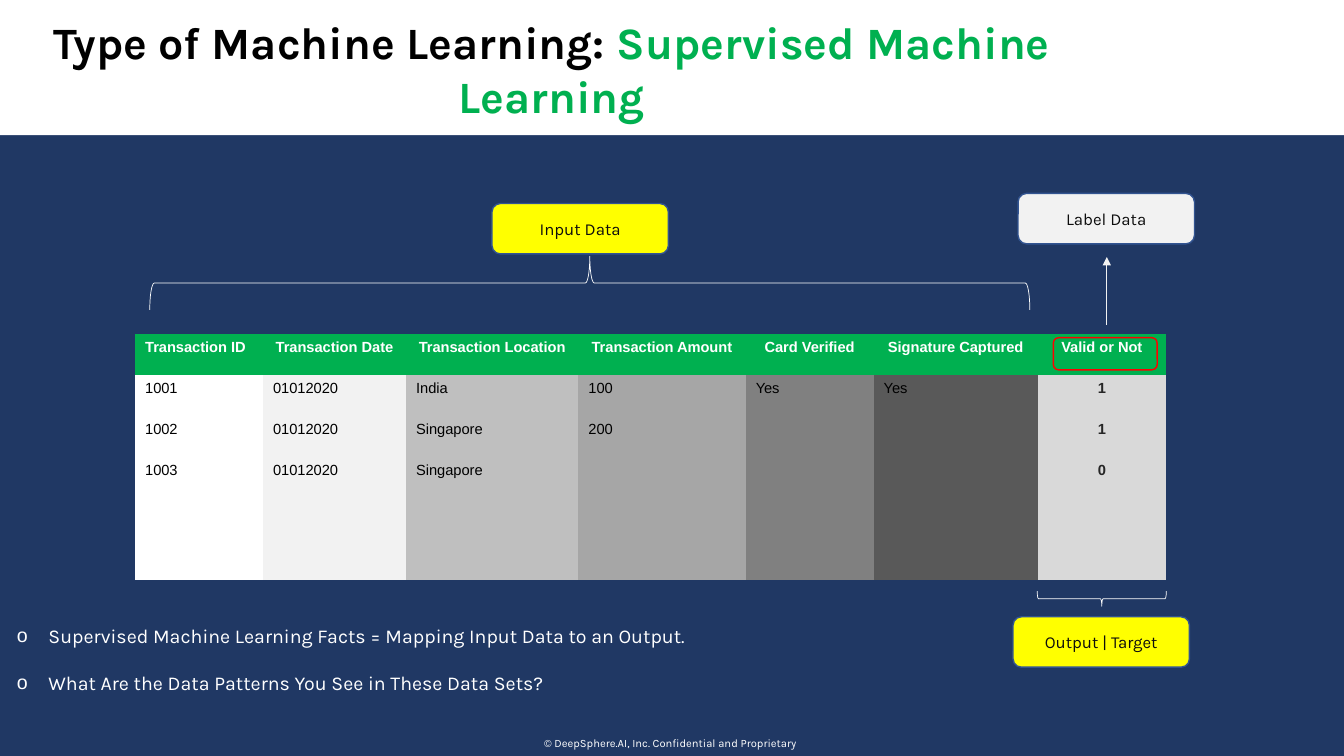
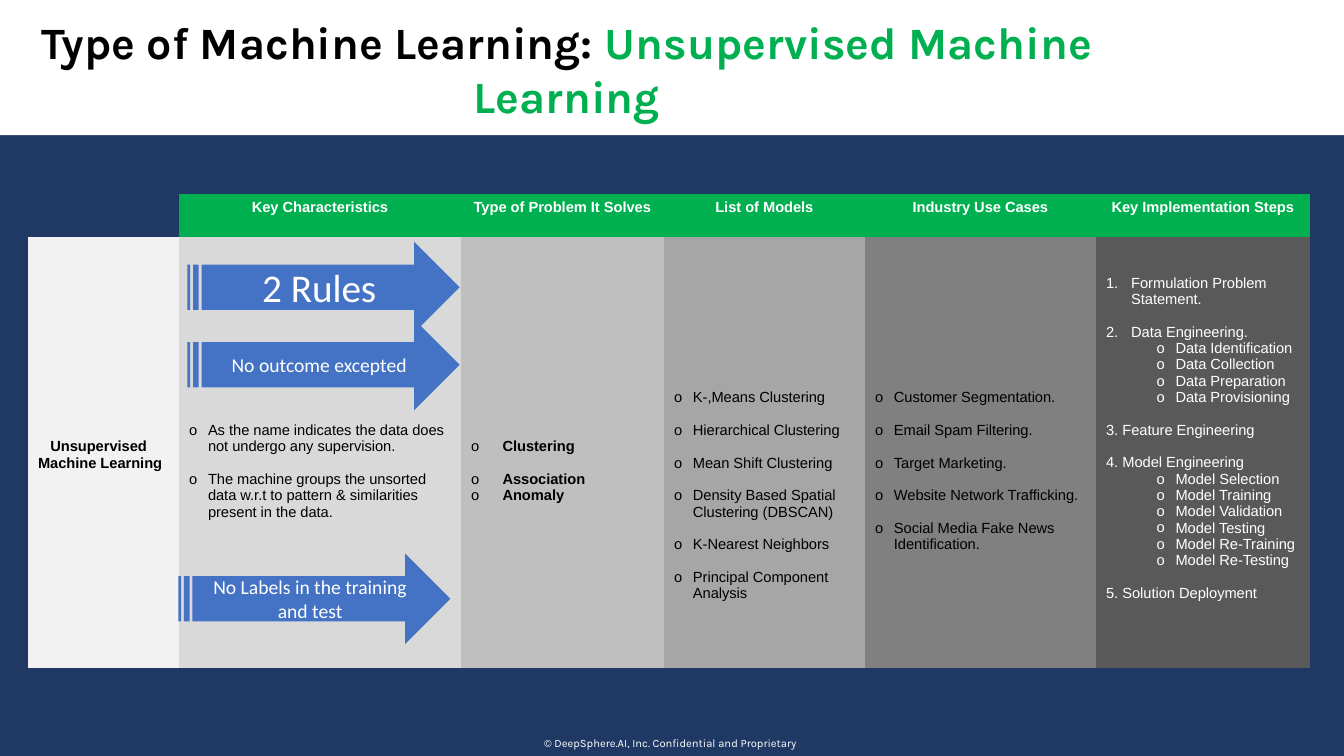
import pptx
import pptx.dml.color
import pptx.enum.shapes
import pptx.enum.text
import pptx.oxml.ns
import pptx.util
from lxml import etree

Pt = pptx.util.Pt
SHAPE = pptx.enum.shapes.MSO_SHAPE
ALIGN = pptx.enum.text.PP_ALIGN
ANCHOR = pptx.enum.text.MSO_ANCHOR

WIDTH, HEIGHT = 960, 540
NAVY, WHITE, BLACK, GREEN = "203864", "FFFFFF", "000000", "00B050"
YELLOW, PALE, BLUE, OUTLINE, RED = "FFFF00", "F2F2F2", "4472C4", "325491", "FF0000"
INK, CHARCOAL = "0D0D0D", "262626"
TABLE_LINE = 11.7

TOPIC = "Type of Machine Learning: "
FOOTER = "© DeepSphere.AI, Inc. Confidential and Proprietary"

TRANSACTION_COLUMNS = [
    ("Transaction ID", 91.4, WHITE),
    ("Transaction Date", 102.2, PALE),
    ("Transaction Location", 123.1, "BFBFBF"),
    ("Transaction Amount", 119.5, "A6A6A6"),
    ("Card Verified", 91.4, "808080"),
    ("Signature Captured", 117.4, "595959"),
    ("Valid or Not", 91.4, "D9D9D9"),
]
TRANSACTIONS = [
    ("1001", "01012020", "India", "100", "Yes", "Yes", "1"),
    ("1002", "01012020", "Singapore", "200", "", "", "1"),
    ("1003", "01012020", "Singapore", "", "", "", "0"),
    ("",) * 7,
    ("",) * 7,
]
LABELS = [
    ("Input Data", 351.4, 145.4, YELLOW),
    ("Output | Target", 723.6, 440.6, YELLOW),
    ("Label Data", 727.2, 138.2, PALE),
]
BRACES = [
    (107, 183.1, 628.6, 38.2, 90),
    (740.9, 422.3, 92.2, 10.8, 270),
]
FACTS = [
    "Supervised Machine Learning Facts = Mapping Input Data to an Output.",
    "What Are the Data Patterns You See in These Data Sets?",
]


def bullet(text, left=13.5, gap=TABLE_LINE, hang=13.5):
    return dict(text=text, bullet="o", left=left, first=-hang, gap=gap)


def step(number, text, hang=11.7):
    return dict(text=text, number=number, left=hang, first=-hang, gap=TABLE_LINE)


def substeps(*names):
    return [bullet(name, left=49.7, gap=0) for name in names]


SUMMARY_COLUMNS = [
    ("", 107.9, PALE, 12, dict(bold=True), [
        dict(text="Unsupervised", first=8.75),
        "Machine Learning",
    ]),
    ("Key Characteristics", 201.4, "D9D9D9", 11, {}, [
        bullet("As the name indicates the data does not undergo any supervision."),
        bullet("The machine groups the unsorted data w.r.t to pattern & similarities present in the data."),
    ]),
    ("Type of Problem It Solves", 145, "BFBFBF", 12, dict(bold=True), [
        bullet("Clustering", 22.5, hang=22.5),
        bullet("Association", 22.5, hang=22.5),
        bullet("Anomaly", 22.5, 0, 22.5),
    ]),
    ("List of Models", 143.6, "A6A6A6", 9, {}, [bullet(name) for name in (
        "K-,Means Clustering",
        "Hierarchical Clustering",
        "Mean Shift Clustering",
        "Density Based Spatial Clustering (DBSCAN)",
        "K-Nearest Neighbors",
        "Principal Component Analysis",
    )]),
    ("Industry Use Cases", 165, "808080", 9, {}, [bullet(name) for name in (
        "Customer Segmentation.",
        "Email Spam Filtering.",
        "Target Marketing.",
        "Website Network Trafficking.",
        "Social Media Fake News Identification.",
    )]),
    ("Key Implementation Steps", 152.9, "595959", 2, dict(color=WHITE), [
        step(1, "Formulation Problem Statement.", 18),
        step(2, "Data Engineering.", 18),
        *substeps("Data Identification", "Data Collection", "Data Preparation", "Data Provisioning"),
        step(3, "Feature Engineering"),
        step(4, "Model Engineering"),
        *substeps("Model Selection", "Model Training", "Model Validation", "Model Testing",
                  "Model Re-Training", "Model Re-Testing"),
        step(5, "Solution Deployment"),
    ]),
]
RULES = [
    ("2 Rules", 133.9, 172.8, 28),
    ("No outcome excepted", 133.9, 228.2, 14),
    ("No Labels in the training and test", 127.4, 395.3, 14),
]


def rgb(color):
    return pptx.dml.color.RGBColor.from_string(color)


def add_xml(parent, tag, **attributes):
    child = etree.SubElement(parent, pptx.oxml.ns.qn(tag))
    for name, value in attributes.items():
        child.set(name, str(value))
    return child


def write(frame, paragraphs, size=10.5, font="Arial", color=BLACK, bold=False, align=ALIGN.LEFT):
    frame.word_wrap = True
    for index, item in enumerate(paragraphs):
        entry = item if isinstance(item, dict) else dict(text=item)
        paragraph = frame.paragraphs[0] if index == 0 else frame.add_paragraph()
        properties = paragraph._p.get_or_add_pPr()
        properties.set("marL", str(Pt(entry.get("left", 0))))
        properties.set("indent", str(Pt(entry.get("first", 0))))
        if "bullet" in entry:
            add_xml(properties, "a:buFont", typeface="Arial")
            add_xml(properties, "a:buChar", char=entry["bullet"])
        if "number" in entry:
            add_xml(properties, "a:buAutoNum", type="arabicPeriod", startAt=entry["number"])
        paragraph.alignment = align
        if index and entry.get("gap"):
            paragraph.space_before = Pt(entry["gap"])
        for words, run_color in entry.get("runs") or [(entry["text"], color)]:
            run = paragraph.add_run()
            run.text = words
            run.font.size = Pt(size)
            run.font.name = font
            run.font.bold = bold
            run.font.color.rgb = rgb(run_color)


def add_text(slide, box, paragraphs, **style):
    write(slide.shapes.add_textbox(*map(Pt, box)).text_frame, paragraphs, **style)


def add_shape(slide, kind, box, fill=None, line=None, weight=1):
    shape = slide.shapes.add_shape(kind, *map(Pt, box))
    shape.shadow.inherit = False
    if fill:
        shape.fill.solid()
        shape.fill.fore_color.rgb = rgb(fill)
    else:
        shape.fill.background()
    if line:
        shape.line.color.rgb = rgb(line)
        shape.line.width = Pt(weight)
    else:
        shape.line.fill.background()
    return shape


def add_label(slide, kind, box, text, fill, line=None, **style):
    shape = add_shape(slide, kind, box, fill, line)
    shape.text_frame.vertical_anchor = ANCHOR.MIDDLE
    write(shape.text_frame, [text], align=ALIGN.CENTER, **style)


def add_brace(slide, left, top, width, height, rotation):
    box = (left + (width - height) / 2, top + (height - width) / 2, height, width)
    add_shape(slide, SHAPE.LEFT_BRACE, box, line=WHITE, weight=0.5).rotation = rotation


def add_table(slide, left, top, widths, heights):
    frame = slide.shapes.add_table(len(heights), len(widths), Pt(left), Pt(top),
                                   Pt(sum(widths)), Pt(sum(heights)))
    table = frame.table
    table.first_row = table.horz_banding = False
    style = table._tbl.tblPr.find(pptx.oxml.ns.qn("a:tableStyleId"))
    style.text = "{2D5ABB26-0587-4C30-8999-92F81FD0307C}"
    for column, width in zip(table.columns, widths):
        column.width = Pt(width)
    for row, height in zip(table.rows, heights):
        row.height = Pt(height)
    return table


def fill_cell(cell, fill, paragraphs, **style):
    cell.fill.solid()
    cell.fill.fore_color.rgb = rgb(fill)
    write(cell.text_frame, paragraphs, **style)


def fill_header(cell, text, align=ALIGN.CENTER):
    fill_cell(cell, GREEN, [text], color=WHITE, bold=True, align=align)


def start_slide(deck, subject, title_width):
    slide = deck.slides.add_slide(deck.slide_layouts[6])
    slide.background.fill.solid()
    slide.background.fill.fore_color.rgb = rgb(NAVY)
    add_shape(slide, SHAPE.RECTANGLE, (0, 0, WIDTH, 96.5), WHITE)
    title = dict(runs=[(TOPIC, BLACK), (subject, GREEN)])
    add_text(slide, (-2.2, 7.2, title_width, 85), [title], size=32, font="Karla",
             bold=True, align=ALIGN.CENTER)
    add_text(slide, (-1, 522.7, WIDTH, 17.3), [FOOTER], size=8, font="Karla",
             color=WHITE, align=ALIGN.CENTER)
    return slide


def build_supervised(deck):
    slide = start_slide(deck, "Supervised Machine Learning", 792.7)
    widths = [width for _, width, _ in TRANSACTION_COLUMNS]
    table = add_table(slide, 96.5, 238.8, widths, [29.2] * (len(TRANSACTIONS) + 1))
    last = len(widths) - 1
    for column, (heading, _, fill) in enumerate(TRANSACTION_COLUMNS):
        fill_header(table.cell(0, column), heading, ALIGN.CENTER if column else ALIGN.LEFT)
        style = dict(color=CHARCOAL, bold=True, align=ALIGN.CENTER) if column == last else {}
        for row, values in enumerate(TRANSACTIONS, 1):
            fill_cell(table.cell(row, column), fill, [values[column]], **style)
    for brace in BRACES:
        add_brace(slide, *brace)
    for text, left, top, fill in LABELS:
        add_label(slide, SHAPE.ROUNDED_RECTANGLE, (left, top, 126, 36), text, fill, OUTLINE,
                  size=12, font="Karla", color=INK)
    facts = [bullet(fact, 22.5, 17, 22.5) for fact in FACTS]
    add_text(slide, (5, 442.1, 684.7, 58.3), facts, size=14, font="Karla", color=WHITE)
    add_shape(slide, SHAPE.ROUNDED_RECTANGLE, (752.4, 241.2, 74.2, 23), line=RED)
    arrow = slide.shapes.add_connector(pptx.enum.shapes.MSO_CONNECTOR.STRAIGHT,
                                       Pt(790.6), Pt(231.8), Pt(790.6), Pt(183.6))
    arrow.line.color.rgb = rgb(PALE)
    arrow.line.width = Pt(0.5)
    add_xml(arrow.line._get_or_add_ln(), "a:tailEnd", type="triangle")
    add_xml(arrow._element.spPr, "a:effectLst")


def build_unsupervised(deck):
    slide = start_slide(deck, "Unsupervised Machine Learning", 814.3)
    widths = [column[1] for column in SUMMARY_COLUMNS]
    table = add_table(slide, 20, 138.4, widths, [31, 308])
    for column, (heading, _, fill, lines_above, style, body) in enumerate(SUMMARY_COLUMNS):
        if heading:
            fill_header(table.cell(0, column), heading)
        else:
            table.cell(0, column).fill.background()
        cell = table.cell(1, column)
        cell.margin_top = Pt(3.6 + lines_above * TABLE_LINE)
        fill_cell(cell, fill, body, **style)
    for text, left, top, size in RULES:
        add_label(slide, SHAPE.STRIPED_RIGHT_ARROW, (left, top, 194.4, 64.8), text, BLUE,
                  size=size, font="Calibri", color=WHITE)


def main():
    deck = pptx.Presentation()
    deck.slide_width, deck.slide_height = Pt(WIDTH), Pt(HEIGHT)
    build_supervised(deck)
    build_unsupervised(deck)
    deck.save("out.pptx")


if __name__ == "__main__":
    main()
